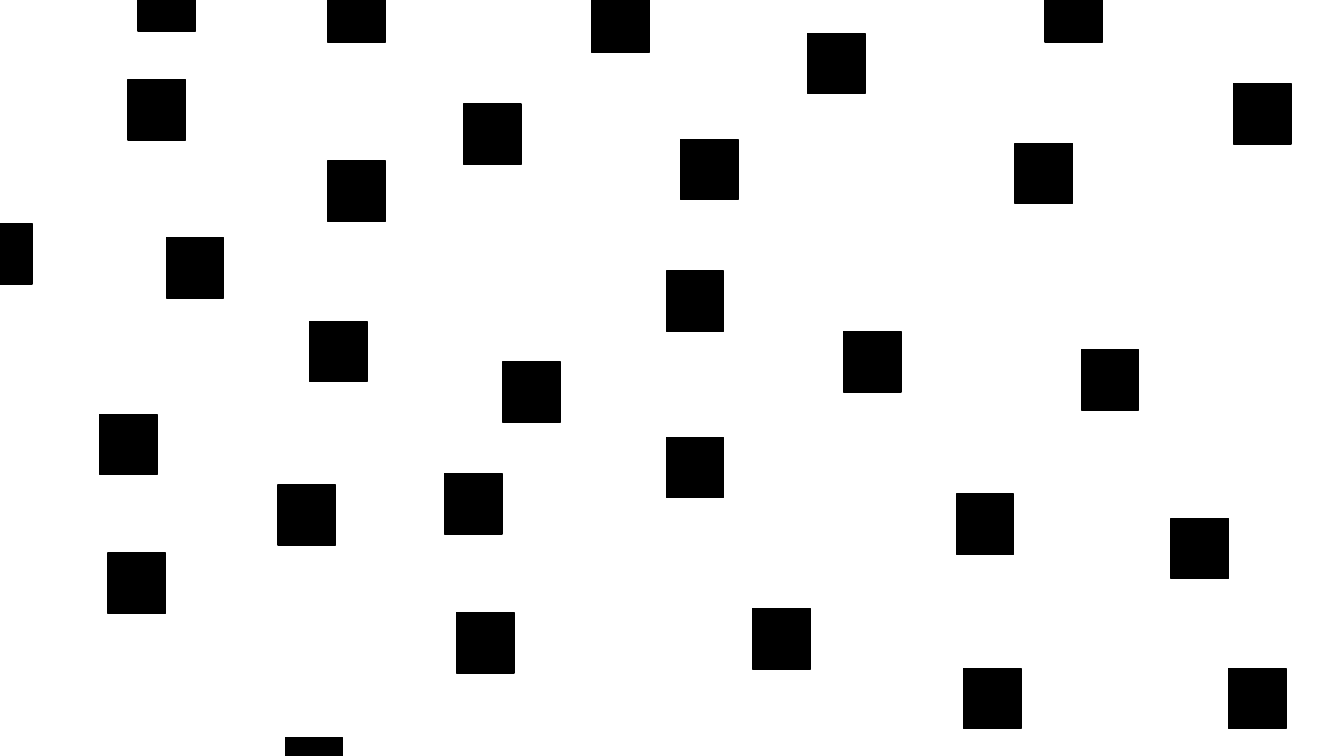
from pptx import Presentation
from pptx.dml.color import RGBColor
from pptx.enum.shapes import MSO_SHAPE
from pptx.util import Cm, Pt

RECT = MSO_SHAPE.RECTANGLE
BLANK = 6
COLORS = {"paper": "FFFFFF", "block": "000000"}
WIDE, HIGH = Cm(1.45), Cm(1.52)

# Left and top of each scattered block, in cm, from back to front
SPOTS = [
    (3.23, 2.01), (8.26, 4.06), (4.19, 5.99), (29.51, 13.06), (31.09, 2.11),
    (17.15, 3.51), (-0.64, 5.64), (7.01, 12.22), (3.48, -0.74), (7.8, 8.1),
    (12.67, 9.12), (26.34, -0.46), (16.79, 6.83), (21.26, 8.36), (11.68, 2.62),
    (14.91, -0.2), (8.26, -0.46), (7.19, 18.59), (30.96, 16.84), (24.28, 16.84),
    (25.58, 3.61), (20.35, 0.84), (11.2, 11.94), (2.72, 13.94), (11.51, 15.44),
    (27.25, 8.81), (16.79, 11.02), (24.1, 12.45), (18.97, 15.34), (2.51, 10.44),
]

deck = Presentation()
deck.slide_width, deck.slide_height = Cm(33.87), Cm(19.05)
slide = deck.slides.add_slide(deck.slide_layouts[BLANK])
back = slide.background.fill
back.solid()
back.fore_color.rgb = RGBColor.from_string(COLORS["paper"])

ink = RGBColor.from_string(COLORS["block"])
for left, top in SPOTS:
    block = slide.shapes.add_shape(RECT, Cm(left), Cm(top), WIDE, HIGH)
    block.shadow.inherit = False
    block.fill.solid()
    block.line.width = Pt(1)
    for part in (block.fill.fore_color, block.line.color):
        part.rgb = ink

deck.save("out.pptx")
